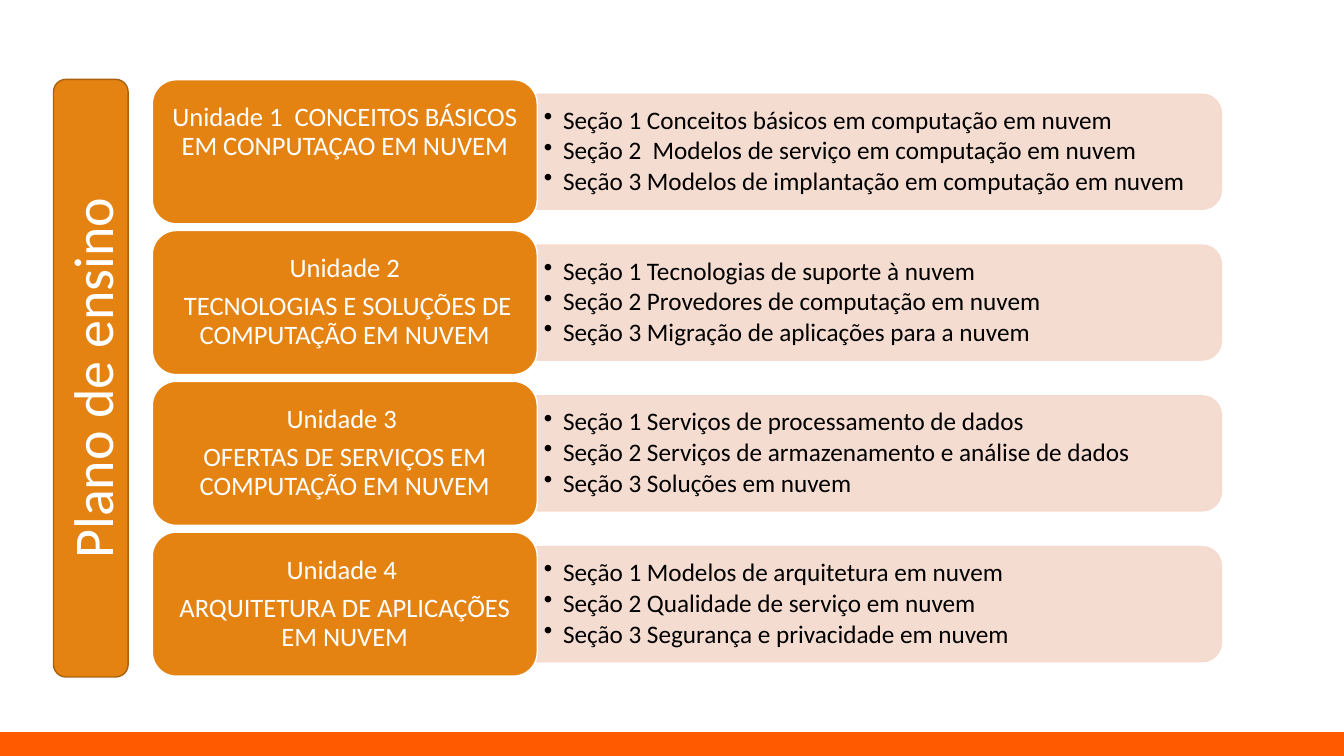
from pptx import Presentation
from pptx.dml.color import RGBColor
from pptx.enum.shapes import MSO_SHAPE
from pptx.enum.text import MSO_ANCHOR, PP_ALIGN
from pptx.oxml.ns import qn
from pptx.oxml.xmlchemy import OxmlElement
from pptx.util import Cm, Pt

COLORS = {
    "footer": "FF5A00",
    "orange": "E48312",
    "outline": "A9610D",
    "panel": "F5D9CC",
    "white": "FFFFFF",
    "black": "000000",
}
FONT = "Calibri"
FIRST_TOP = 2.01
ROW_PITCH = 3.8
CARD_LEFT, CARD_WIDTH, CARD_HEIGHT = 3.84, 9.7, 3.63
PANEL_LEFT, PANEL_WIDTH, PANEL_HEIGHT = 13.53, 17.25, 2.9

UNITS = [
    (["Unidade 1  CONCEITOS BÁSICOS EM CONPUTAÇAO EM NUVEM"],
     ["Seção 1 Conceitos básicos em computação em nuvem",
      "Seção 2  Modelos de serviço em computação em nuvem",
      "Seção 3 Modelos de implantação em computação em nuvem"]),
    (["Unidade 2", " TECNOLOGIAS E SOLUÇÕES DE COMPUTAÇÃO EM NUVEM"],
     ["Seção 1 Tecnologias de suporte à nuvem",
      "Seção 2 Provedores de computação em nuvem",
      "Seção 3 Migração de aplicações para a nuvem"]),
    (["Unidade 3 ", "OFERTAS DE SERVIÇOS EM COMPUTAÇÃO EM NUVEM"],
     ["Seção 1 Serviços de processamento de dados",
      "Seção 2 Serviços de armazenamento e análise de dados",
      "Seção 3 Soluções em nuvem"]),
    (["Unidade 4 ", "ARQUITETURA DE APLICAÇÕES EM NUVEM"],
     ["Seção 1 Modelos de arquitetura em nuvem",
      "Seção 2 Qualidade de serviço em nuvem",
      "Seção 3 Segurança e privacidade em nuvem"]),
]


def add_box(page, kind, left, top, width, height, fill, line):
    """Add a filled, outlined preset shape without a shadow."""
    box = page.shapes.add_shape(kind, Cm(left), Cm(top), Cm(width), Cm(height))
    box.shadow.inherit = False
    box.fill.solid()
    box.fill.fore_color.rgb = RGBColor.from_string(COLORS[fill])
    box.line.color.rgb = RGBColor.from_string(COLORS[line])
    box.line.width = Pt(1)
    return box


def write_text(box, lines, size, color, align, spacing=1.0, after=0):
    """Fill a box with one formatted paragraph per line."""
    frame = box.text_frame
    frame.word_wrap = True
    frame.vertical_anchor = MSO_ANCHOR.MIDDLE
    frame.text = "\n".join(lines)
    for para in frame.paragraphs:
        para.alignment = align
        para.line_spacing = spacing
        para.space_after = Pt(after)
        for span in para.runs:
            span.font.size = Pt(size)
            span.font.name = FONT
            span.font.color.rgb = RGBColor.from_string(COLORS[color])


def set_margins(box, side, top, bottom):
    """Set the inner margins of a box in centimetres."""
    frame = box.text_frame
    frame.margin_left = frame.margin_right = Cm(side)
    frame.margin_top, frame.margin_bottom = Cm(top), Cm(bottom)


def add_bullet(para):
    """Give a paragraph a round bullet with a hanging indent."""
    properties = para._p.get_or_add_pPr()
    properties.set("marL", str(Cm(0.48)))
    properties.set("indent", str(-Cm(0.48)))
    bullet = OxmlElement("a:buChar")
    bullet.set("char", "•")
    properties.append(bullet)


def make_translucent(box, percent):
    """Set the opacity of the fill and outline of a box."""
    for color in box.element.spPr.iter(qn("a:srgbClr")):
        alpha = OxmlElement("a:alpha")
        alpha.set("val", str(percent * 1000))
        color.append(alpha)


def add_sections(page, middle, sections):
    """Add the pale panel, rounded on its right, with its bulleted list."""
    panel = add_box(page, MSO_SHAPE.ROUND_2_SAME_RECTANGLE,
                    PANEL_LEFT + (PANEL_WIDTH - PANEL_HEIGHT) / 2,
                    middle - PANEL_WIDTH / 2,
                    PANEL_HEIGHT, PANEL_WIDTH, "panel", "panel")
    panel.rotation = 90
    make_translucent(panel, 90)
    box = page.shapes.add_textbox(Cm(PANEL_LEFT), Cm(middle - PANEL_HEIGHT / 2),
                                  Cm(PANEL_WIDTH), Cm(PANEL_HEIGHT))
    set_margins(box, 0.18, 0.1, 0.1)
    write_text(box, sections, 18, "black", PP_ALIGN.LEFT, 0.9, 2.5)
    for para in box.text_frame.paragraphs:
        add_bullet(para)


def add_card(page, top, title):
    """Add the orange unit card, raising a title that has a single paragraph."""
    card = add_box(page, MSO_SHAPE.ROUNDED_RECTANGLE, CARD_LEFT, top,
                   CARD_WIDTH, CARD_HEIGHT, "orange", "white")
    set_margins(card, 0.2, 0.1, 1.06 if len(title) == 1 else 0.1)
    write_text(card, title, 19, "white", PP_ALIGN.CENTER, 0.9, 6.5)


def add_side_title(page, text):
    """Add the tall bar whose title reads upwards."""
    bar = add_box(page, MSO_SHAPE.ROUNDED_RECTANGLE, 1.35, FIRST_TOP - 0.01,
                  1.88, 15.06, "orange", "outline")
    bar.element.txBody.bodyPr.set("vert", "vert270")
    write_text(bar, [text], 40, "white", PP_ALIGN.CENTER)


def main():
    """Build the teaching plan slide and save it."""
    deck = Presentation()
    deck.slide_width, deck.slide_height = Cm(33.87), Cm(19.05)
    page = deck.slides.add_slide(deck.slide_layouts[6])
    add_box(page, MSO_SHAPE.RECTANGLE, 0, 18.47, 33.87, 0.58, "footer", "footer")
    for row, (title, sections) in enumerate(UNITS):
        top = FIRST_TOP + row * ROW_PITCH
        add_sections(page, top + CARD_HEIGHT / 2, sections)
        add_card(page, top, title)
    add_side_title(page, "Plano de ensino")
    deck.save("out.pptx")


if __name__ == "__main__":
    main()
